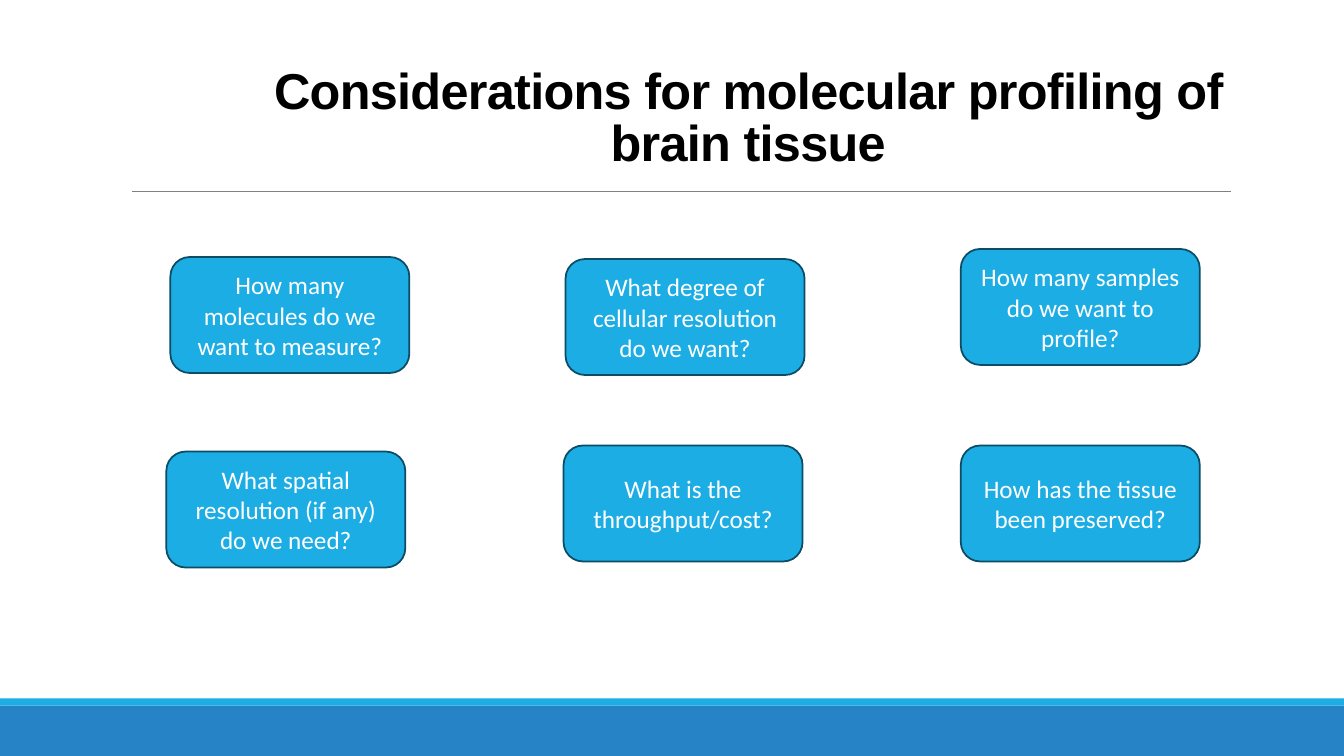
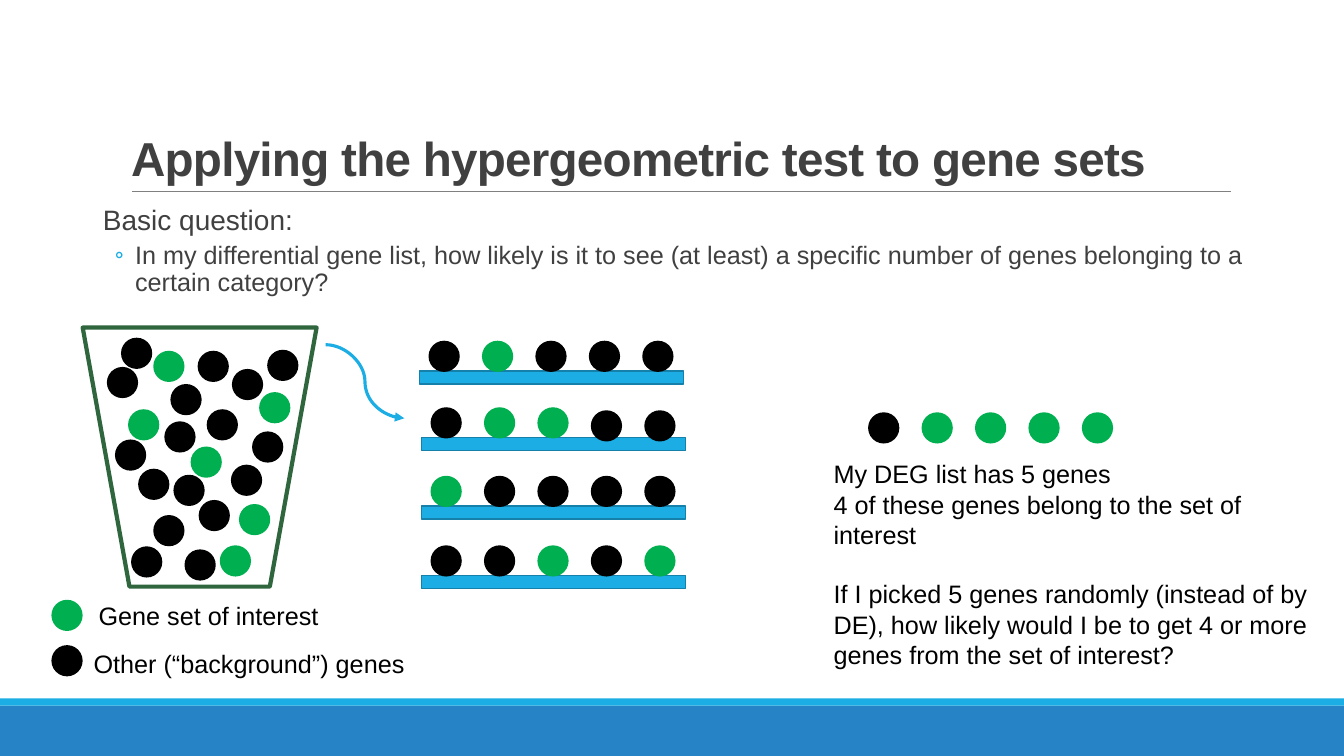
from dataclasses import dataclass

from lxml.etree import SubElement
from pptx import Presentation
from pptx.dml.color import RGBColor
from pptx.enum.shapes import MSO_CONNECTOR, MSO_SHAPE
from pptx.enum.text import MSO_ANCHOR, MSO_AUTO_SIZE, PP_ALIGN
from pptx.oxml.ns import qn
from pptx.util import Inches, Pt

RECT, ROUND, OVAL = MSO_SHAPE.RECTANGLE, MSO_SHAPE.ROUNDED_RECTANGLE, MSO_SHAPE.OVAL
CUP = MSO_SHAPE.FLOWCHART_MANUAL_OPERATION
LINE, CURVE = MSO_CONNECTOR.STRAIGHT, MSO_CONNECTOR.CURVE
LEFT, CENTER = PP_ALIGN.LEFT, PP_ALIGN.CENTER
TOP, MIDDLE, BOTTOM = MSO_ANCHOR.TOP, MSO_ANCHOR.MIDDLE, MSO_ANCHOR.BOTTOM


@dataclass(frozen=True)
class Theme:
    sky: str = "1CADE4"
    blue: str = "2683C6"
    navy: str = "0C4C64"
    teal: str = "1580A9"
    gray: str = "808080"
    dark: str = "404040"
    black: str = "000000"
    white: str = "FFFFFF"
    green: str = "00B050"
    pine: str = "2F663E"
    sans: str = "Arial"
    card: str = "Calibri"
    text: int = 18
    lead: int = 20


T = Theme()
WIDE, HIGH = 13.33, 7.5
BALL, STEP = 0.31, 0.53
SHELF = (2.62, 0.13)
CARD = (2.37, 1.15)
HUES = {"B": T.black, "G": T.green}

CARDS = [
    (1.69, 3.92, [
        (2.55, "How many molecules do we want to measure?"),
        (2.57, "What degree of cellular resolution do we want?"),
        (2.47, "How many samples do we want to profile?"),
    ]),
    (1.65, 3.94, [
        (4.48, "What spatial resolution (if any) do we need?"),
        (4.42, "What is the throughput/cost?"),
        (4.42, "How has the tissue been preserved?"),
    ]),
]
BODY = [
    "Basic question:",
    "In my differential gene list, how likely is it to see (at least) a specific "
    "number of genes belonging to a certain category?",
]
POOL = {
    "B": [(1.3, 5.42), (1.52, 5.11), (1.37, 4.65), (1.97, 4.96), (1.06, 3.64),
          (1.63, 4.18), (1.96, 3.48), (1.83, 5.45), (1.72, 4.71), (2.29, 4.61),
          (1.14, 4.36), (1.69, 3.81), (2.05, 4.06), (2.5, 4.28), (2.3, 3.66),
          (2.65, 3.47), (1.2, 3.35)],
    "G": [(1.89, 4.43), (1.27, 4.06), (1.52, 3.48), (2.18, 5.41), (2.37, 5),
          (2.57, 3.89)],
}
DRAWS = [
    (4.25, 3.38, "BGBBB", 5),
    (4.27, 4.04, "BGGBB", 3),
    (4.27, 4.72, "GBBBB", 5),
    (4.27, 5.41, "BBGBG", 5),
]
KEYS = [
    ("G", 5.95, (0.88, 5.91, 2.91, 0.4), "Gene set of interest"),
    ("B", 6.4, (0.83, 6.38, 3.36, 0.4), "Other (“background”) genes"),
]
NOTES = [
    "My DEG list has 5 genes",
    "4 of these genes belong to the set of interest",
    "If I picked 5 genes randomly (instead of by DE), how likely would I be to "
    "get 4 or more genes from the set of interest?",
]


def rgb(hue):
    return RGBColor.from_string(hue)


def inch(*nums):
    return [Inches(n) for n in nums]


def shape(page, kind, box, fill=None, line=None, width=1.25):
    item = page.shapes.add_shape(kind, *inch(*box))
    item.shadow.inherit = False
    if fill:
        item.fill.solid()
        item.fill.fore_color.rgb = rgb(fill)
    else:
        item.fill.background()
    if line:
        item.line.color.rgb = rgb(line)
        item.line.width = Pt(width)
    else:
        item.line.fill.background()
    return item


def link(page, kind, ends, hue, width, arrow=False):
    item = page.shapes.add_connector(kind, *inch(*ends))
    item.line.color.rgb = rgb(hue)
    item.line.width = Pt(width)
    props = item.element.spPr
    if arrow:
        SubElement(props.find(qn("a:ln")), qn("a:tailEnd"), type="triangle")
    SubElement(props, qn("a:effectLst"))
    return item


def write(frame, lines, size, hue, face=T.sans, align=LEFT, anchor=TOP, bold=False):
    frame.text = "\n".join(lines)
    frame.word_wrap = True
    frame.auto_size = MSO_AUTO_SIZE.NONE
    frame.vertical_anchor = anchor
    for para in frame.paragraphs:
        para.alignment = align
        for run in para.runs:
            font = run.font
            font.name, font.size, font.bold = face, Pt(size), bold
            font.color.rgb = rgb(hue)


def place(item, box):
    item.left, item.top, item.width, item.height = inch(*box)


def title(page, text, box, size, hue, align):
    item = page.shapes.title
    place(item, box)
    write(item.text_frame, [text], size, hue, align=align, anchor=BOTTOM, bold=True)
    para = item.text_frame.paragraphs[0]
    para.line_spacing = 0.85
    para.runs[0].font._element.set("spc", "-50")


def label(page, box, lines):
    frame = page.shapes.add_textbox(*inch(*box)).text_frame
    write(frame, lines, T.text, T.black)
    return frame


def ball(page, x, y, key):
    shape(page, OVAL, (x, y, BALL, BALL), HUES[key])


def row(page, x, y, keys, drop=5):
    for i, key in enumerate(keys):
        ball(page, x + i * STEP, y + (0.03 if i >= drop else 0), key)


def frame_master(deck, page):
    parts = [
        shape(page, RECT, (0, 7, WIDE, 0.5), T.blue),
        shape(page, RECT, (0, 6.93, WIDE, 0.07), T.sky),
        link(page, LINE, (1.31, 1.9, 12.21, 1.9), T.gray, 0.5),
    ]
    tree = deck.slide_master.element.find(".//" + qn("p:spTree"))
    for i, part in enumerate(parts):
        tree.insert(2 + i, part.element)


def bullets(page):
    body = page.placeholders[1]
    place(body, (0.92, 2, 11.5, 1.52))
    frame = body.text_frame
    write(frame, BODY, T.text, T.dark)
    frame.margin_left = frame.margin_right = 0
    lead, point = frame.paragraphs
    lead.runs[0].font.size = Pt(T.lead)
    point.level = 1
    for para, edge, hang, before, after in [(lead, 0.1, 0, 0, 2), (point, 0.42, -0.2, 2, 4)]:
        para.line_spacing = 0.9
        para.space_before, para.space_after = Pt(before), Pt(after)
        props = para._p.get_or_add_pPr()
        props.set("marL", str(Inches(edge)))
        props.set("indent", str(Inches(hang)))
    SubElement(lead._p.pPr, qn("a:buNone"))
    props = point._p.pPr
    SubElement(SubElement(props, qn("a:buClr")), qn("a:srgbClr"), val=T.sky)
    SubElement(props, qn("a:buFont"), typeface=T.card)
    SubElement(props, qn("a:buChar"), char="◦")


def profile(page):
    title(page, "Considerations for molecular profiling of brain tissue",
          (2.17, 0.01, 10.5, 1.74), 36, T.black, CENTER)
    for start, step, cells in CARDS:
        for i, (top, text) in enumerate(cells):
            card = shape(page, ROUND, (start + i * step, top, *CARD), T.sky, T.navy)
            write(card.text_frame, [text], T.text, T.white, T.card, CENTER, MIDDLE)


def genes(page):
    title(page, "Applying the hypergeometric test to gene sets",
          (1.2, 0.31, 11, 1.59), 34, T.dark, LEFT)
    bullets(page)
    shape(page, CUP, (0.82, 3.25, 2.32, 2.57), line=T.pine, width=3)
    for key, spots in POOL.items():
        for x, y in spots:
            ball(page, x, y, key)
    for key, y, box, text in KEYS:
        ball(page, 0.51, y, key)
        label(page, box, [text])
    link(page, CURVE, (3.23, 3.42, 4.01, 4.15), T.sky, 2.25, True)
    for x, y, keys, drop in DRAWS:
        shape(page, RECT, (x - 0.09, y + 0.3, *SHELF), T.sky, T.teal)
        row(page, x, y, keys, drop)
    notes = label(page, (8.17, 4.5, 4.97, 2.22), NOTES)
    notes.paragraphs[-1].space_before = Pt(21)
    row(page, 8.61, 4.09, "BGGGG")


def main():
    deck = Presentation()
    deck.slide_width, deck.slide_height = inch(WIDE, HIGH)
    first = deck.slides.add_slide(deck.slide_layouts[5])
    frame_master(deck, first)
    profile(first)
    genes(deck.slides.add_slide(deck.slide_layouts[1]))
    deck.save("out.pptx")


if __name__ == "__main__":
    main()
